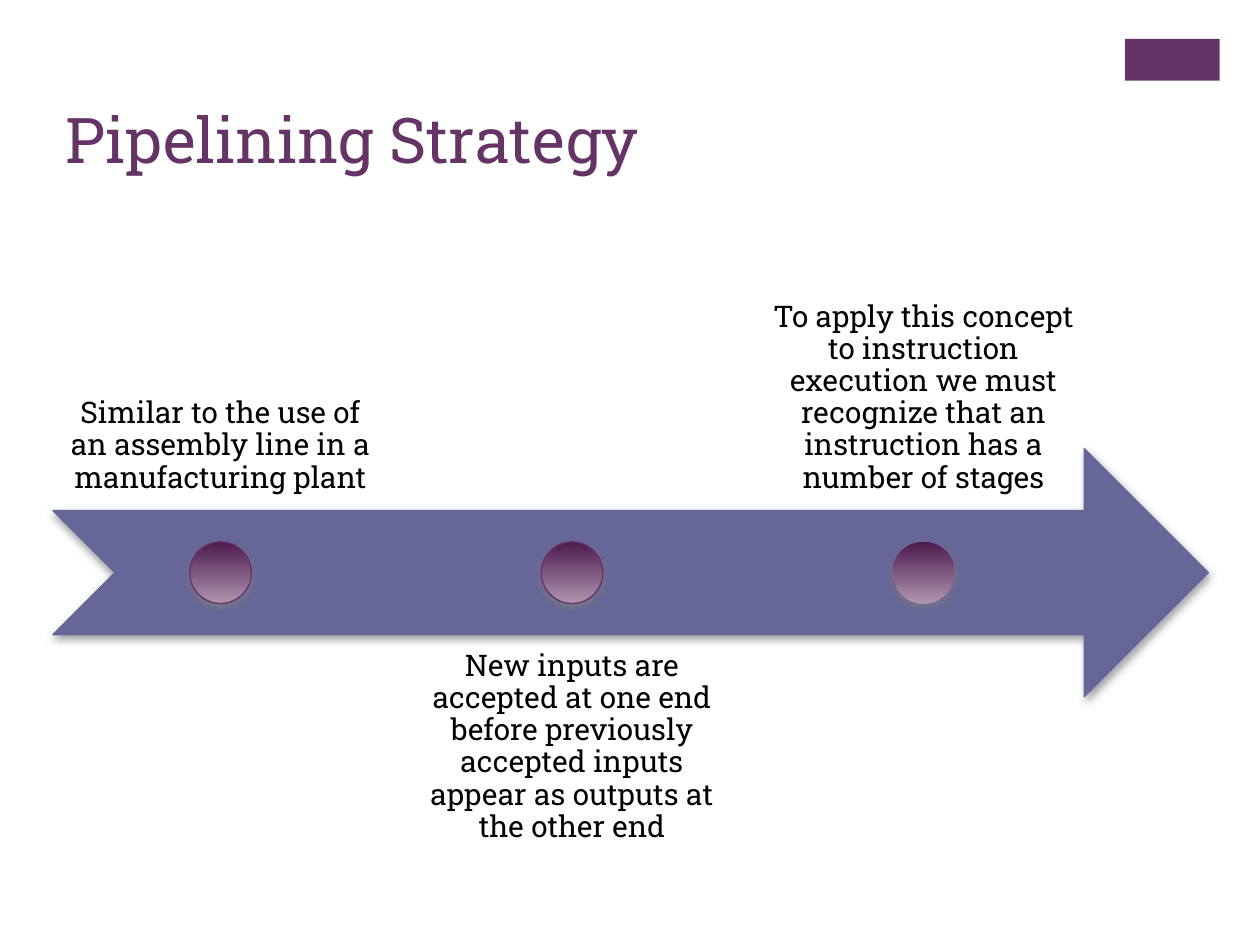
from lxml import etree
from pptx import Presentation
from pptx.dml.color import RGBColor
from pptx.enum.shapes import MSO_SHAPE
from pptx.enum.text import MSO_ANCHOR, PP_ALIGN
from pptx.oxml.ns import qn
from pptx.util import Inches, Pt

RECT = MSO_SHAPE.RECTANGLE
ARROW = MSO_SHAPE.NOTCHED_RIGHT_ARROW
OVAL = MSO_SHAPE.OVAL
TOP, BOTTOM = MSO_ANCHOR.TOP, MSO_ANCHOR.BOTTOM
LEFT, CENTER = PP_ALIGN.LEFT, PP_ALIGN.CENTER

PLUM = RGBColor(0x66, 0x33, 0x66)
SLATE = RGBColor(0x66, 0x66, 0x99)
DARK = RGBColor(0x4D, 0x1A, 0x4D)
PALE = RGBColor(0xAF, 0x94, 0xAF)
BLACK = RGBColor(0, 0, 0)

STEPS = [
    "Similar to the use of an assembly line in a manufacturing plant",
    "New inputs are accepted at one end before previously accepted inputs "
    "appear as outputs at the other end",
    "To apply this concept to instruction execution we must recognize that "
    "an instruction has a number of stages",
]


class Deck:
    font = "Roboto Slab"

    def __init__(self, slide):
        self.slide = slide

    def shape(self, kind, box, line=None):
        item = self.slide.shapes.add_shape(kind, *map(Inches, box))
        item.shadow.inherit = False
        if line is None:
            item.line.fill.background()
        else:
            item.line.color.rgb = line
            item.line.width = Pt(0.75)
        return item

    def solid(self, kind, box, color, line=None):
        item = self.shape(kind, box, line)
        item.fill.solid()
        item.fill.fore_color.rgb = color
        return item

    def dot(self, box, line=None):
        """Add a circle that fades from dark at the top to pale."""
        item = self.shape(OVAL, box, line)
        item.fill.gradient()
        item.fill.gradient_angle = 270
        for stop, color in zip(item.fill.gradient_stops, (DARK, PALE)):
            stop.color.rgb = color
        return item

    def shade(self, item):
        """Give the shape a soft grey shadow below it."""
        effects = item.element.spPr.find(qn("a:effectLst"))
        outer = etree.SubElement(
            effects, qn("a:outerShdw"), blurRad=str(Pt(5)),
            dist=str(Pt(2)), dir="5400000", rotWithShape="0")
        color = etree.SubElement(outer, qn("a:srgbClr"), val="808080")
        etree.SubElement(color, qn("a:alpha"), val="75000")

    def text(self, words, box, size, color, align=LEFT, anchor=TOP,
             pad=(0.1, 0.05), lead=1.0):
        frame = self.slide.shapes.add_textbox(*map(Inches, box)).text_frame
        frame.word_wrap = True
        frame.vertical_anchor = anchor
        frame.margin_left = frame.margin_right = Inches(pad[0])
        frame.margin_top = frame.margin_bottom = Inches(pad[1])
        para = frame.paragraphs[0]
        para.text = words
        para.alignment = align
        para.line_spacing = lead
        para.font.name = self.font
        para.font.size = Pt(size)
        para.font.color.rgb = color


def main():
    prs = Presentation()
    prs.slide_width, prs.slide_height = Inches(10), Inches(7.5)
    deck = Deck(prs.slides.add_slide(prs.slide_layouts[6]))

    deck.solid(RECT, (8.93, 0.31, 0.75, 0.33), PLUM)
    deck.text("Pipelining Strategy", (0.42, 0.75, 8.26, 1.22), 36, PLUM)

    left, top, tall = 0.42, 3.56, 1.97
    deck.shade(deck.solid(ARROW, (left, top, 9.17, tall), SLATE, SLATE))

    wide, pitch, size = 2.66, 2.79, 0.49
    mid = top + tall / 2
    for i, words in enumerate(STEPS):
        x = left + i * pitch
        above = i % 2 == 0
        y = mid - size - tall if above else mid + size
        deck.text(words, (x, y, wide, tall), 17, BLACK, CENTER,
                  BOTTOM if above else TOP, (0.13, 0.13), 0.9)
        line = PLUM if i < len(STEPS) - 1 else None
        deck.shade(deck.dot(
            (x + (wide - size) / 2, mid - size / 2, size, size), line))

    prs.save("out.pptx")


if __name__ == "__main__":
    main()
